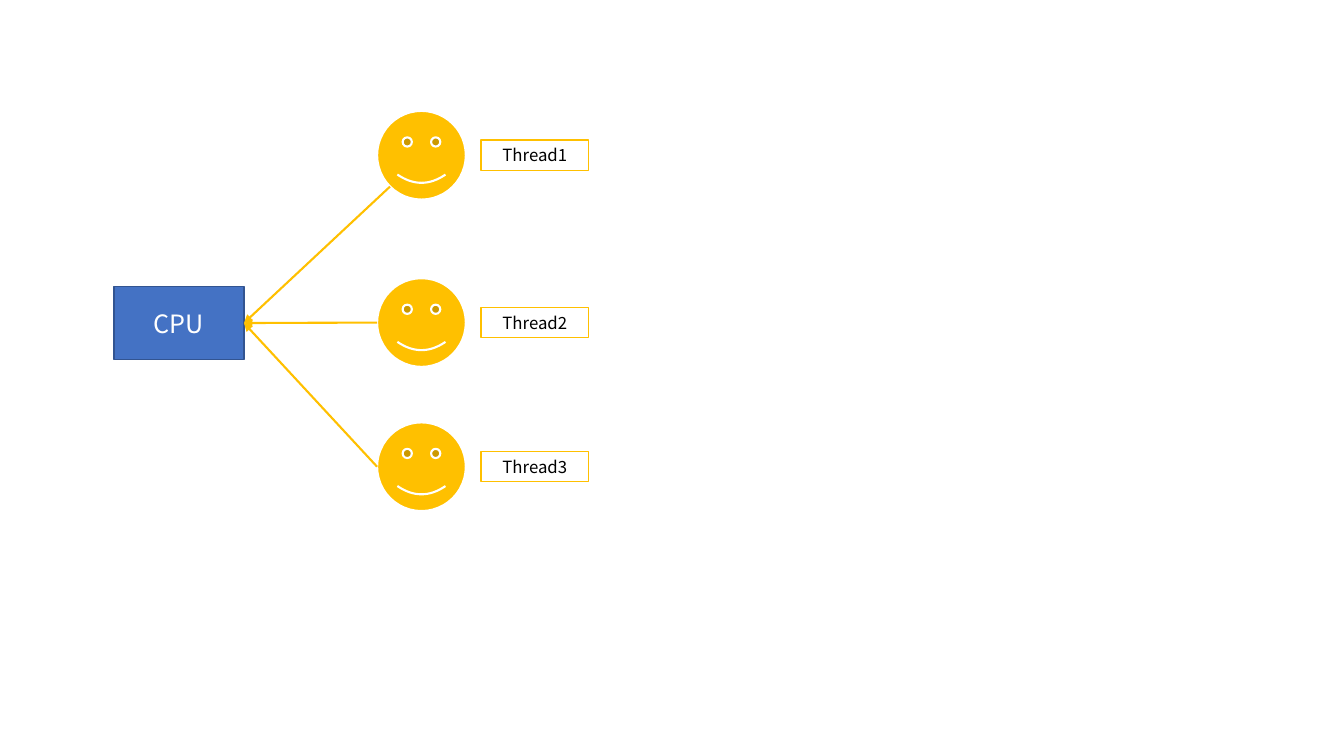
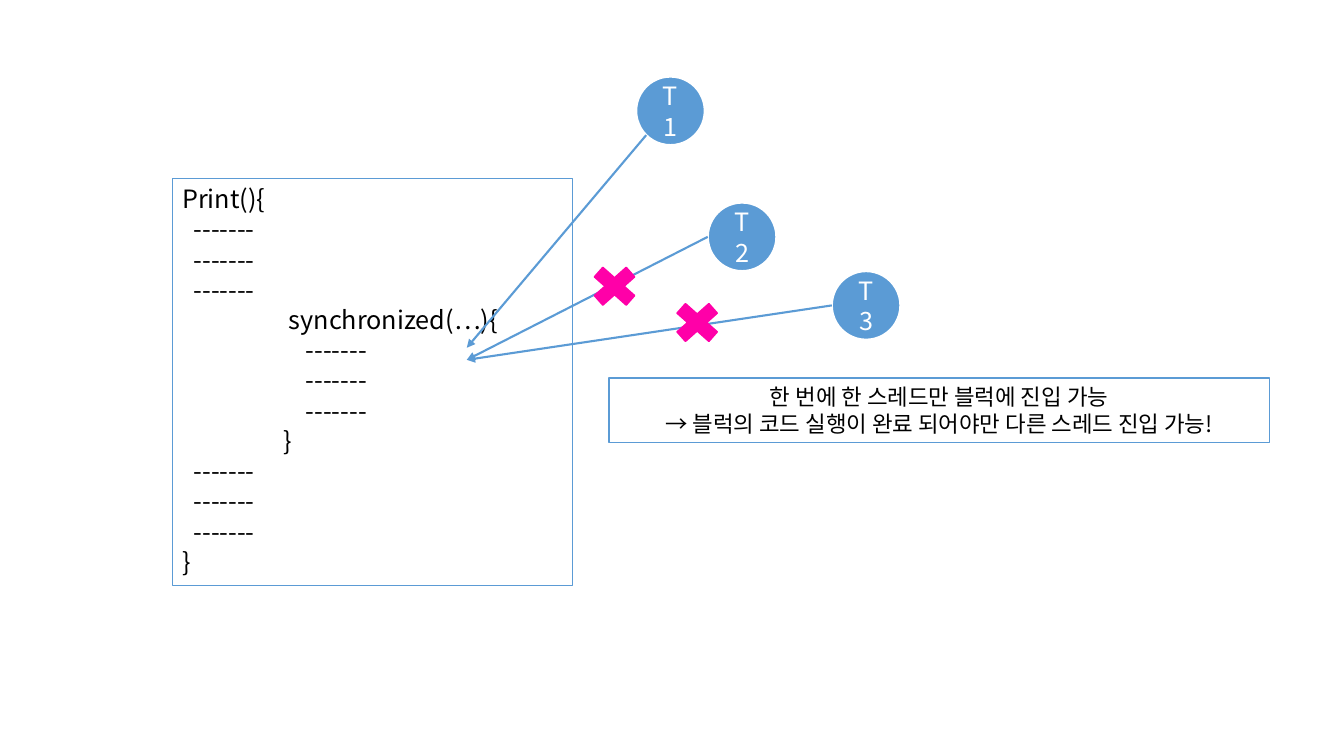
import pptx
import pptx.dml.color
import pptx.enum.shapes
import pptx.enum.text
import pptx.oxml
import pptx.oxml.ns
import pptx.util
from lxml import etree

Inches = pptx.util.Inches
Pt = pptx.util.Pt
Kind = pptx.enum.shapes.MSO_SHAPE
Align = pptx.enum.text.PP_ALIGN
Anchor = pptx.enum.text.MSO_ANCHOR
Fit = pptx.enum.text.MSO_AUTO_SIZE
Rgb = pptx.dml.color.RGBColor.from_string
qn = pptx.oxml.ns.qn


class Theme:
    font = "Noto Sans CJK KR"
    white = Rgb("FFFFFF")
    black = Rgb("000000")
    navy = Rgb("4472C4")
    edge = Rgb("325491")
    gold = Rgb("FFC000")
    blue = Rgb("5B9BD5")
    pink = Rgb("FF00A8")
    large = Pt(18)
    note = Pt(16)
    small = Pt(12)
    thin = Pt(1)
    thick = Pt(1.5)


def draw(page, kind, box, fill, line, width=Theme.thin, text="", size=Theme.large,
         ink=Theme.white, align=Align.CENTER, grow=False, tab=None):
    shape = page.shapes.add_shape(kind, *map(Inches, box))
    shape.shadow.inherit = False
    shape.fill.solid()
    shape.fill.fore_color.rgb = fill
    shape.line.color.rgb = line
    shape.line.width = width
    frame = shape.text_frame
    frame.word_wrap = True
    if grow:
        frame.vertical_anchor = Anchor.TOP
        frame.auto_size = Fit.SHAPE_TO_FIT_TEXT
    for count, words in enumerate(text.split("\n") if text else []):
        para = frame.add_paragraph() if count else frame.paragraphs[0]
        para.alignment = align
        if tab:
            stops = etree.SubElement(para._p.get_or_add_pPr(), qn("a:tabLst"))
            etree.SubElement(stops, qn("a:tab"), pos=str(Inches(tab)), algn="l")
        run = para.add_run()
        run.text = words
        run.font.name = Theme.font
        run.font.size = size
        run.font.color.rgb = ink
        etree.SubElement(run._r.get_or_add_rPr(), qn("a:ea"), typeface=Theme.font)
    return shape


def link(page, shape, site, end, color):
    across, down = {2: (0, 0.5), 3: (0.146, 0.854)}[site]
    left = shape.left + int(across * shape.width)
    top = shape.top + int(down * shape.height)
    arrow = page.shapes.add_connector(
        pptx.enum.shapes.MSO_CONNECTOR.STRAIGHT, left, top, *map(Inches, end))
    arrow.begin_connect(shape, site)
    arrow.begin_x, arrow.begin_y = left, top
    arrow.line.color.rgb = color
    arrow.line.width = Theme.thick
    etree.SubElement(arrow.line._get_or_add_ln(), qn("a:tailEnd"), type="triangle")
    etree.SubElement(arrow._element.spPr, qn("a:effectLst"))
    return arrow


deck = pptx.Presentation()
deck.slide_width = Inches(13.33)
deck.slide_height = Inches(7.5)
blank = deck.slide_layouts[6]

page = deck.slides.add_slide(blank)
cpu = draw(page, Kind.RECTANGLE, (1.13, 2.84, 1.29, 0.73), Theme.navy, Theme.edge,
           text="CPU")
face = 0.88
label = 0.3
for count, (top, site) in enumerate([(1.1, 3), (2.76, 2), (4.19, 2)], 1):
    smile = draw(page, Kind.SMILEY_FACE, (3.74, top, face, face), Theme.gold,
                 Theme.white, Theme.thick)
    arrow = link(page, smile, site, (2.42, 3.2), Theme.gold)
    arrow.end_connect(cpu, 3)
    draw(page, Kind.RECTANGLE, (4.77, top + (face - label) / 2, 1.07, label),
         Theme.white, Theme.gold, text=f"Thread{count}", size=Theme.small,
         ink=Theme.black, grow=True)

page = deck.slides.add_slide(blank)
code = """Print(){
  -------
  -------
  -------
\t synchronized(…){
\t    -------
  \t    -------
  \t    -------
\t}
  -------
  -------
  -------
}"""
draw(page, Kind.RECTANGLE, (1.71, 1.77, 3.97, 4.04), Theme.white, Theme.blue,
     text=code, ink=Theme.black, align=Align.LEFT, grow=True, tab=1)

threads = [(6.31, 0.76, 3, 3.45), (7.02, 2.01, 2, 3.57), (8.25, 2.69, 2, 3.57)]
for count, (left, top, site, goal) in enumerate(threads, 1):
    ball = draw(page, Kind.OVAL, (left, top, 0.68, 0.68), Theme.blue, Theme.white,
                Theme.thick, f"T{count}")
    link(page, ball, site, (4.63, goal), Theme.blue)

rule = "한 번에 한 스레드만 블럭에 진입 가능\n→ 블럭의 코드 실행이 완료 되어야만 다른 스레드 진입 가능!"
draw(page, Kind.RECTANGLE, (6.04, 3.75, 6.55, 0.64), Theme.white, Theme.blue,
     text=rule, size=Theme.note, ink=Theme.black, grow=True)

for left, top in [(5.79, 2.57), (6.61, 2.93)]:
    draw(page, Kind.MATH_MULTIPLY, (left, top, 0.61, 0.54), Theme.pink, Theme.pink)

deck.save("out.pptx")
